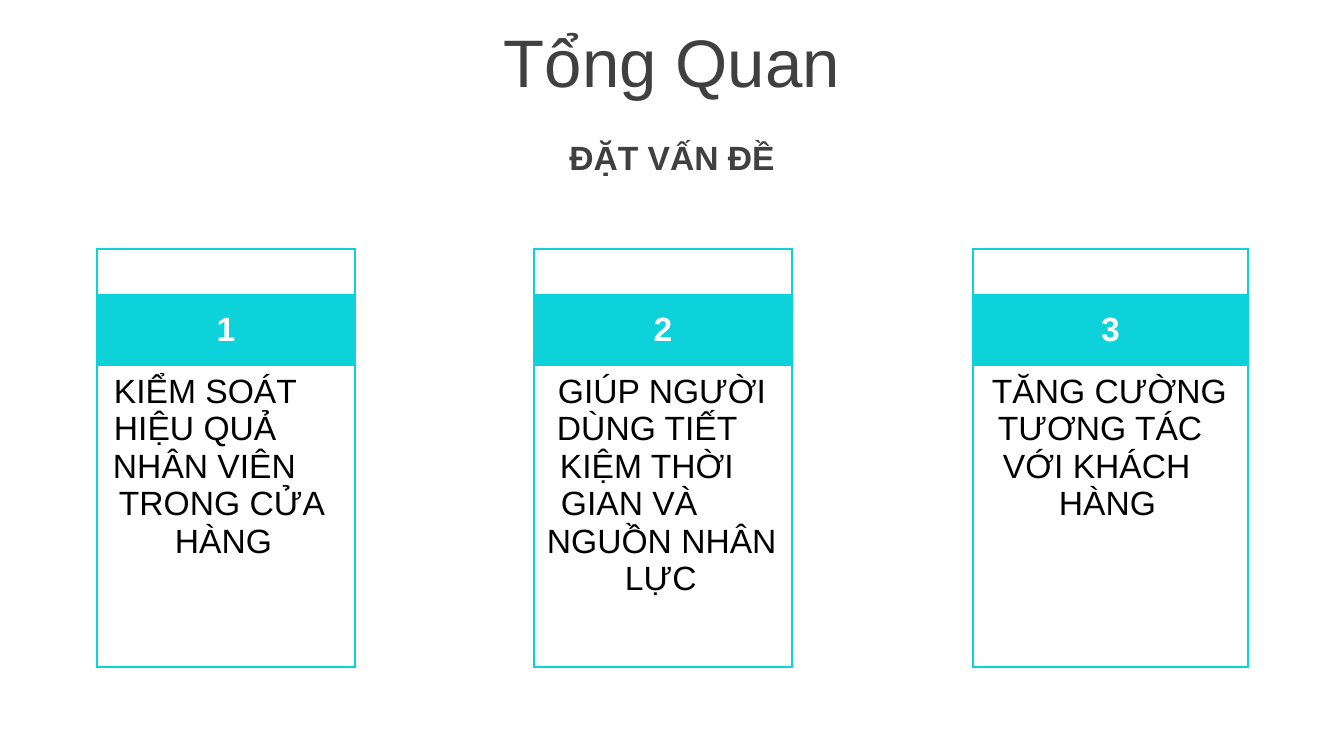
from lxml.etree import SubElement
from pptx import Presentation
from pptx.dml.color import RGBColor
from pptx.enum.text import MSO_ANCHOR, PP_ALIGN
from pptx.oxml.ns import qn
from pptx.util import Emu, Pt

TEAL, WHITE, BLACK, GREY = "0DD2D9", "FFFFFF", "000000", "404040"
CARD_TOP = 249
ROW_HEIGHTS = (45, 72, 301)
CARDS = [
    (97, (45, 168, 45), "1",
     [("KIỂM SOÁT", 4), ("HIỆU QUẢ", 4), ("NHÂN VIÊN", 3),
      ("TRONG CỬA", 9), ("HÀNG", 65)]),
    (534, (45, 168, 45), "2",
     [("GIÚP NGƯỜI", 11), ("DÙNG TIẾT", 10), ("KIỆM THỜI", 13),
      ("GIAN VÀ", 14), ("NGUỒN NHÂN", 0), ("LỰC", 78)]),
    (973, (48, 179, 48), "3",
     [("TĂNG CƯỜNG", 6), ("TƯƠNG TÁC", 12), ("VỚI KHÁCH", 17),
      ("HÀNG", 73)]),
]


def px(length):
    """Turn px into EMU."""
    return Emu(round(length * 914400 / 100.8))


def color(hex_value):
    """Turn a hex string into a colour."""
    return RGBColor.from_string(hex_value)


def add_run(paragraph, text, size, hex_value, bold=False):
    """Add one Arial run to a paragraph."""
    run = paragraph.add_run()
    run.text = text
    run.font.name = "Arial"
    run.font.size = Pt(size)
    run.font.bold = bold
    run.font.color.rgb = color(hex_value)


def add_heading(slide, box, text, size, bold=False):
    """Add a centred heading that fills its box."""
    frame = slide.shapes.add_textbox(*map(px, box)).text_frame
    frame.word_wrap = True
    frame.vertical_anchor = MSO_ANCHOR.MIDDLE
    paragraph = frame.paragraphs[0]
    paragraph.alignment = PP_ALIGN.CENTER
    paragraph.space_before = Pt(size * 0.2)
    add_run(paragraph, text, size, GREY, bold)


def style_cell(cell, fill, edges):
    """Fill a cell and draw only the named edges."""
    properties = cell._tc.get_or_add_tcPr()
    for edge in "LRTB":
        line = SubElement(properties, qn(f"a:ln{edge}"), w=str(Pt(1.5)))
        if edge in edges:
            solid = SubElement(line, qn("a:solidFill"))
            SubElement(solid, qn("a:srgbClr"), val=TEAL)
        else:
            SubElement(line, qn("a:noFill"))
    cell.fill.solid()
    cell.fill.fore_color.rgb = color(fill)


def add_card(slide, left, top, column_widths, number, lines):
    """Add a numbered card as a table of three rows."""
    table = slide.shapes.add_table(
        3, 3, px(left), px(top), px(sum(column_widths)), px(sum(ROW_HEIGHTS))
    ).table
    table.first_row = table.horz_banding = False
    for column, width in zip(table.columns, column_widths):
        column.width = px(width)
    for row, height in zip(table.rows, ROW_HEIGHTS):
        row.height = px(height)

    for index, edges in enumerate(("T", "LR", "LRB")):
        for position, side in enumerate(("L", "", "R")):
            style_cell(table.cell(index, position),
                       TEAL if index == 1 else WHITE, edges + side)
        if index:
            table.cell(index, 0).merge(table.cell(index, 2))

    header, body = table.cell(1, 0), table.cell(2, 0)
    for cell in (header, body):
        cell.margin_left = cell.margin_right = px(13)
        cell.margin_top = cell.margin_bottom = px(7)
    header.vertical_anchor = MSO_ANCHOR.MIDDLE
    paragraph = header.text_frame.paragraphs[0]
    paragraph.alignment = PP_ALIGN.CENTER
    add_run(paragraph, number, 24, WHITE, True)

    body.margin_right = px(0)
    frame = body.text_frame
    for index, (text, indent) in enumerate(lines):
        paragraph = frame.add_paragraph() if index else frame.paragraphs[0]
        paragraph.alignment = PP_ALIGN.LEFT
        paragraph._p.get_or_add_pPr().set("marL", str(px(indent)))
        add_run(paragraph, text, 24, BLACK)


def main():
    """Build the overview slide and save it."""
    presentation = Presentation()
    presentation.slide_width, presentation.slide_height = px(1344), px(756)
    slide = presentation.slides.add_slide(presentation.slide_layouts[6])
    add_heading(slide, (0, 18, 1344, 85), "Tổng Quan", 48)
    for left, column_widths, number, lines in CARDS:
        add_card(slide, left, CARD_TOP, column_widths, number, lines)
    add_heading(slide, (168, 128, 1008, 59), "ĐẶT VẤN ĐỀ", 24, True)
    presentation.save("out.pptx")


if __name__ == "__main__":
    main()
